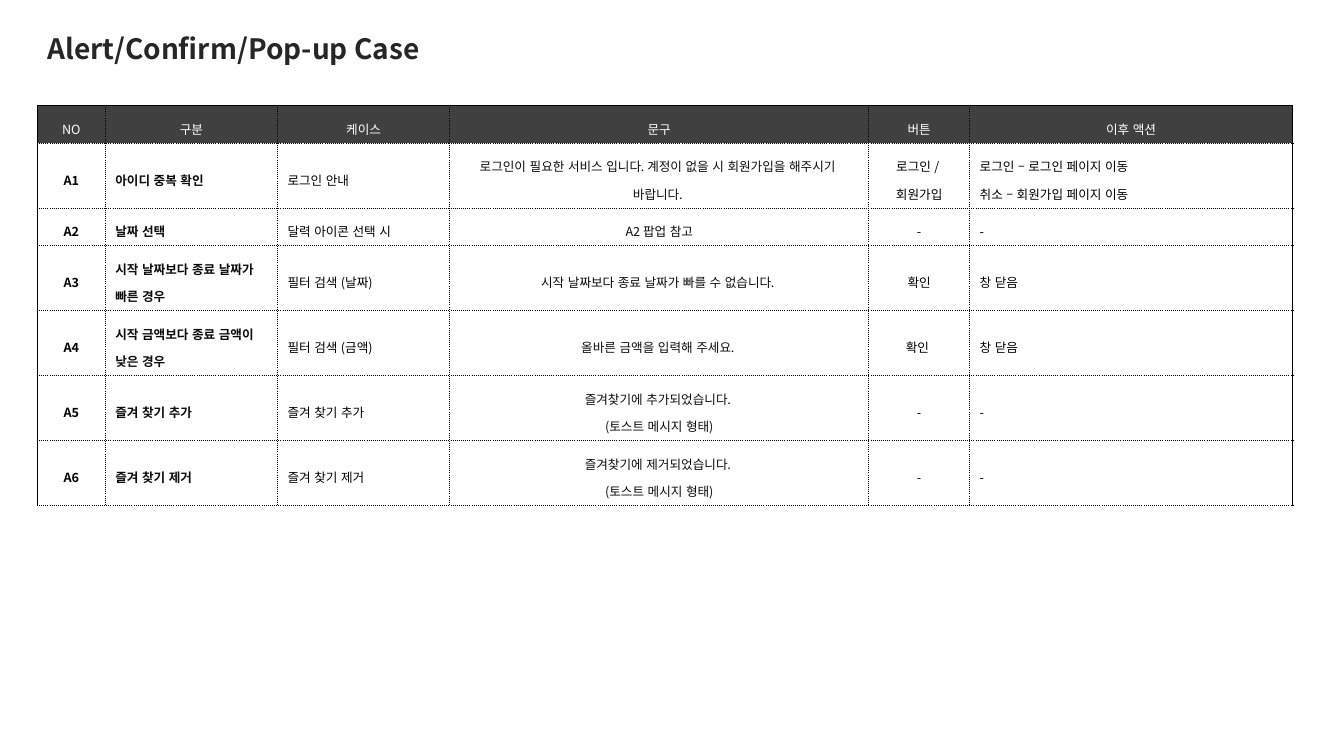
"""Build the Alert/Confirm/Pop-up Case slide."""
from lxml.etree import SubElement
from pptx import Presentation
from pptx.dml.color import RGBColor
from pptx.enum.lang import MSO_LANGUAGE_ID
from pptx.enum.text import MSO_ANCHOR, PP_ALIGN
from pptx.oxml.ns import qn
from pptx.util import Pt

FONT = "Noto Sans CJK KR"
TITLE = "Alert/Confirm/Pop-up Case"
HEADERS = ["NO", "구분", "케이스", "문구", "버튼", "이후 액션"]
CASES = [
    ["A1", "아이디 중복 확인", "로그인 안내",
     "로그인이 필요한 서비스 입니다. 계정이 없을 시 회원가입을 해주시기 \n바랍니다. ",
     "로그인 / \n회원가입", "로그인 – 로그인 페이지 이동\n취소 – 회원가입 페이지 이동"],
    ["A2", "날짜 선택", "달력 아이콘 선택 시", "A2 팝업 참고", "-", "-"],
    ["A3", "시작 날짜보다 종료 날짜가 빠른 경우", "필터 검색 (날짜)",
     "시작 날짜보다 종료 날짜가 빠를 수 없습니다. ", "확인", "창 닫음"],
    ["A4", "시작 금액보다 종료 금액이 낮은 경우", "필터 검색 (금액)",
     "올바른 금액을 입력해 주세요. ", "확인 ", "창 닫음"],
    ["A5", "즐겨 찾기 추가", "즐겨 찾기 추가",
     "즐겨찾기에 추가되었습니다. \n(토스트 메시지 형태)", "-", "-"],
    ["A6", "즐겨 찾기 제거", "즐겨 찾기 제거",
     "즐겨찾기에 제거되었습니다. \n(토스트 메시지 형태)", "-", "-"],
]
LEFT = 26.8
COLUMN_WIDTHS = [48.4, 123, 123, 299.4, 72, 230.6]
ONE_LINE, TWO_LINES = 26.8, 46.4
ROW_HEIGHTS = [ONE_LINE, TWO_LINES, ONE_LINE] + [TWO_LINES] * 4
CENTERED_COLUMNS = {0, 3, 4}
BOLD_COLUMNS = {0, 1}
COLUMN_COLORS = ["000000", "0D0D0D", "000000", "0D0D0D", "000000", "000000"]


def color(value):
    return RGBColor.from_string(value)


def write(text_frame, text, size, text_color, bold, align, spacing):
    text_frame.text = text
    for paragraph in text_frame.paragraphs:
        paragraph.alignment = align
        paragraph.line_spacing = spacing
        font = paragraph.font
        font.size, font.bold, font.name = Pt(size), bold, FONT
        font.language_id = MSO_LANGUAGE_ID.KOREAN
        font.color.rgb = color(text_color)
        defaults = paragraph._p.pPr.find(qn("a:defRPr"))
        defaults.set("kern", "0")
        SubElement(defaults, qn("a:ea"), typeface=FONT)


def add_border(cell, side, solid):
    properties = cell._tc.get_or_add_tcPr()
    width = Pt(1 if solid else 0.75)
    line = SubElement(properties, qn(f"a:ln{side}"), w=str(width))
    fill = SubElement(line, qn("a:solidFill"))
    SubElement(fill, qn("a:srgbClr"), val="000000")
    SubElement(line, qn("a:prstDash"), val="solid" if solid else "sysDot")


def add_title(slide):
    box = slide.shapes.add_textbox(Pt(LEFT), Pt(22), Pt(453), Pt(27.4))
    frame = box.text_frame
    frame.word_wrap = True
    frame.margin_top = frame.margin_bottom = 0
    frame.vertical_anchor = MSO_ANCHOR.MIDDLE
    write(frame, TITLE, 20, "262626", True, PP_ALIGN.LEFT, 0.9)


def add_case_table(slide):
    rows = [HEADERS] + CASES
    table = slide.shapes.add_table(
        len(rows), len(HEADERS), Pt(LEFT), Pt(75.4),
        Pt(sum(COLUMN_WIDTHS)), Pt(sum(ROW_HEIGHTS))).table
    table.first_row = table.horz_banding = False
    for column, width in zip(table.columns, COLUMN_WIDTHS):
        column.width = Pt(width)
    for row, height in zip(table.rows, ROW_HEIGHTS):
        row.height = Pt(height)

    last = len(HEADERS) - 1
    for row_index, texts in enumerate(rows):
        header = row_index == 0
        for index, text in enumerate(texts):
            cell = table.cell(row_index, index)
            cell.vertical_anchor = MSO_ANCHOR.MIDDLE
            centered = header or index in CENTERED_COLUMNS
            write(cell.text_frame, text, 9,
                  "FFFFFF" if header else COLUMN_COLORS[index],
                  not header and index in BOLD_COLUMNS,
                  PP_ALIGN.CENTER if centered else PP_ALIGN.LEFT, 1.5)
            solid_sides = {"L": index == 0, "R": index == last, "T": header, "B": False}
            for side, solid in solid_sides.items():
                add_border(cell, side, solid)
            cell.fill.solid()
            cell.fill.fore_color.rgb = color("404040" if header else "FFFFFF")


def main():
    presentation = Presentation()
    presentation.slide_width, presentation.slide_height = Pt(960), Pt(540)
    slide = presentation.slides.add_slide(presentation.slide_layouts[6])
    add_title(slide)
    add_case_table(slide)
    presentation.save("out.pptx")


if __name__ == "__main__":
    main()
